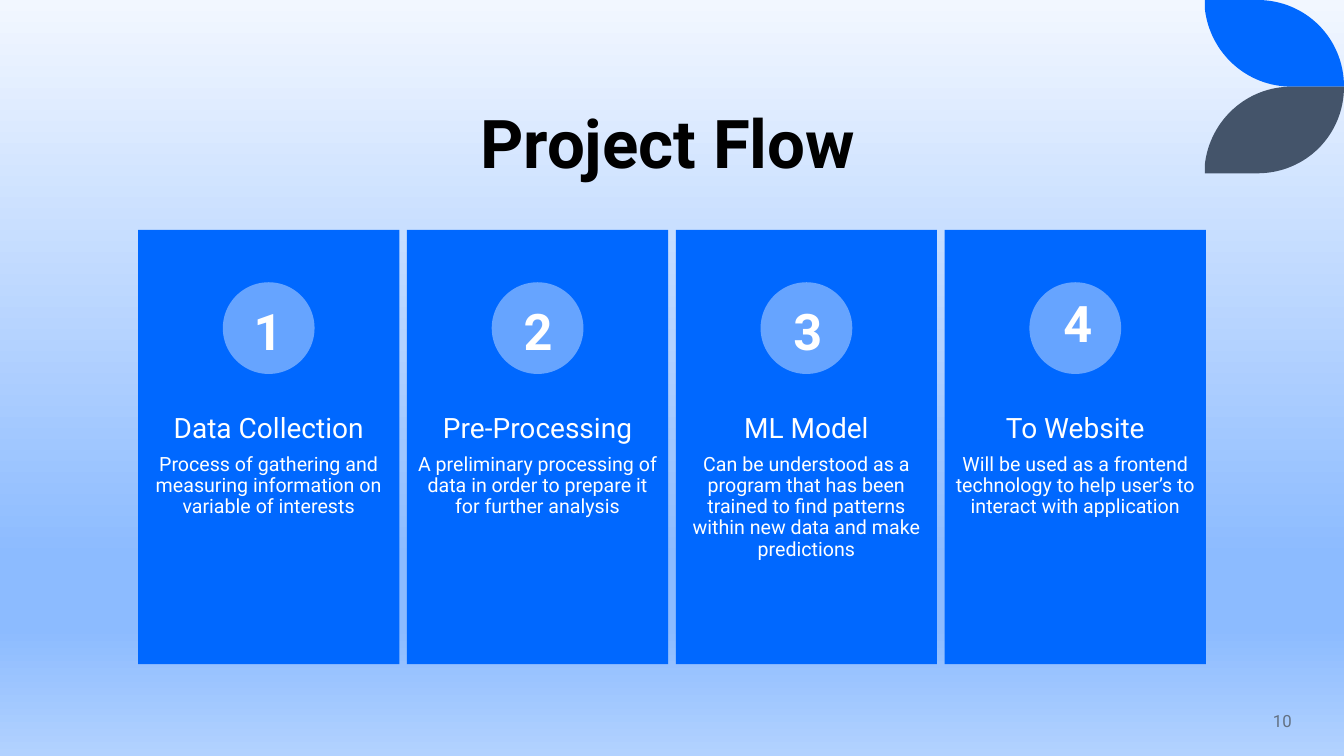
from copy import deepcopy

from lxml.etree import SubElement
from pptx import Presentation
from pptx.dml.color import RGBColor
from pptx.enum.shapes import MSO_SHAPE
from pptx.enum.text import MSO_ANCHOR, MSO_AUTO_SIZE, PP_ALIGN
from pptx.oxml.ns import qn
from pptx.util import Inches, Pt

FONT = "Roboto"
BLUE, LIGHT_BLUE, SLATE = "0068FF", "66A4FF", "44546A"
WHITE, BLACK, GREY = "FFFFFF", "000000", "637183"
SKY = [(0, "F2F7FF"), (0.74, "8CBBFF"), (0.83, "8CBBFF"), (1, "B2D2FF")]

SLIDE_WIDTH, SLIDE_HEIGHT = 13.33, 7.5
CARD_LEFT, CARD_TOP, CARD_PITCH = 1.37, 2.28, 8 / 3
CARD_WIDTH, CARD_HEIGHT = 2.59, 4.31
BADGE_TOP, BADGE_SIZE = 2.8, 0.91
NUMBER_LEFT, NUMBER_PITCH = 2.23, 8.03 / 3
NUMBER_WIDTH, NUMBER_HEIGHT = 0.86, 0.71
CAPTION_TOP, CAPTION_HEIGHT = 4, 1.72
LEAF_LEFT, LEAF_HEIGHT = 11.95, 0.86
LEAF_OUTLINE = [
    [(0.52, 0)],
    [(1, 0), (1.38, 0.38), (1.38, 0.86)],
    [(0.86, 0.86)],
    [(0.41, 0.86), (0.05, 0.52), (0, 0.09)],
]

STEPS = [
    ("Data Collection", "Process of gathering and measuring information on variable of interests", 2.93),
    ("Pre-Processing", "A preliminary processing of data in order to prepare it for further analysis", 2.93),
    ("ML Model", "Can be understood as a program that has been trained to find patterns "
                 "within new data and make predictions", 2.93),
    ("To Website", "Will be used as a frontend technology to help user’s to interact with application", 2.85),
]


def color(value):
    """Turn a hex string into a colour."""
    return RGBColor.from_string(value)


def paint(shape, fill):
    """Give a shape a plain fill without line or shadow."""
    shape.fill.solid()
    shape.fill.fore_color.rgb = color(fill)
    shape.line.fill.background()
    shape.shadow.inherit = False


def add_block(slide, preset, box, fill):
    """Add a filled preset shape."""
    paint(slide.shapes.add_shape(preset, *map(Inches, box)), fill)


def write(paragraph, text, size, ink, align=PP_ALIGN.CENTER, bold=False):
    """Add one formatted run to a paragraph."""
    paragraph.alignment = align
    run = paragraph.add_run()
    run.text = text
    run.font.name, run.font.size, run.font.bold = FONT, Pt(size), bold
    run.font.color.rgb = color(ink)


def add_text_frame(slide, box, anchor=MSO_ANCHOR.TOP):
    """Add a wrapping text box and return its frame."""
    frame = slide.shapes.add_textbox(*map(Inches, box)).text_frame
    frame.word_wrap = True
    frame.vertical_anchor = anchor
    return frame


def paint_sky(slide):
    """Fill the background with a vertical gradient."""
    fill = slide.background.fill
    fill.gradient()
    stop_list = slide.element.find(".//" + qn("a:gsLst"))
    for _ in SKY[2:]:
        stop_list.append(deepcopy(stop_list[0]))
    for stop, (position, tint) in zip(fill.gradient_stops, SKY):
        stop.position = position
        stop.color.rgb = color(tint)
    fill.gradient_angle = 270


def add_leaf(slide, edge, direction, fill):
    """Draw a leaf with two curved sides growing up or down from an edge."""
    points = [(Inches(LEAF_LEFT + x), Inches(edge + direction * y))
              for segment in LEAF_OUTLINE for x, y in segment]
    builder = slide.shapes.build_freeform(Inches(LEAF_LEFT), Inches(edge))
    builder.add_line_segments(points, close=True)
    leaf = builder.convert_to_shape()
    paint(leaf, fill)
    outline = leaf.element.find(".//" + qn("a:path"))
    lines = iter(outline.findall(qn("a:lnTo")))
    for segment in LEAF_OUTLINE:
        controls = [next(lines) for _ in segment]
        if len(controls) == 3:
            curve = SubElement(outline, qn("a:cubicBezTo"))
            controls[0].addprevious(curve)
            for control in controls:
                curve.append(control[0])
                outline.remove(control)


def add_title(slide, text):
    """Place and format the title placeholder."""
    title = slide.shapes.title
    title.left, title.top, title.width, title.height = map(Inches, (1.28, 0.42, 10.69, 1.45))
    frame = title.text_frame
    frame.auto_size = MSO_AUTO_SIZE.NONE
    frame.vertical_anchor = MSO_ANCHOR.BOTTOM
    heading = frame.paragraphs[0]
    heading.line_spacing = 0.9
    write(heading, text, 48, BLACK, bold=True)


def add_caption(slide, left, name, detail):
    """Write the name and description of a step."""
    frame = add_text_frame(slide, (left, CAPTION_TOP, CARD_WIDTH, CAPTION_HEIGHT))
    frame.margin_left = frame.margin_right = Inches(0.09)
    frame.margin_top = frame.margin_bottom = Inches(0.11)
    heading, description = frame.paragraphs[0], frame.add_paragraph()
    heading.line_spacing = description.line_spacing = 0.9
    heading.space_after = Pt(7)
    write(heading, name, 20, WHITE)
    write(description, detail, 14, WHITE)


def add_card(slide, index, name, detail):
    """Add one card of the flow with its badge."""
    left = CARD_LEFT + index * CARD_PITCH
    badge_left = left + (CARD_WIDTH - BADGE_SIZE) / 2
    add_block(slide, MSO_SHAPE.RECTANGLE, (left, CARD_TOP, CARD_WIDTH, CARD_HEIGHT), BLUE)
    add_caption(slide, left, name, detail)
    add_block(slide, MSO_SHAPE.OVAL, (badge_left, BADGE_TOP, BADGE_SIZE, BADGE_SIZE), LIGHT_BLUE)


def add_number(slide, index, top):
    """Write the number of a step over its badge."""
    left = NUMBER_LEFT + index * NUMBER_PITCH
    frame = add_text_frame(slide, (left, top, NUMBER_WIDTH, NUMBER_HEIGHT))
    write(frame.paragraphs[0], str(index + 1), 36, WHITE, bold=True)


def main():
    """Build the slide and save it."""
    deck = Presentation()
    deck.slide_width, deck.slide_height = Inches(SLIDE_WIDTH), Inches(SLIDE_HEIGHT)
    slide = deck.slides.add_slide(deck.slide_layouts[5])
    paint_sky(slide)
    add_leaf(slide, 0, 1, BLUE)
    add_leaf(slide, 2 * LEAF_HEIGHT, -1, SLATE)
    add_title(slide, "Project Flow")
    for index, (name, detail, _) in enumerate(STEPS):
        add_card(slide, index, name, detail)
    for index, (_, _, number_top) in enumerate(STEPS):
        add_number(slide, index, number_top)
    page = add_text_frame(slide, (11.1, 6.95, 1.81, 0.4), MSO_ANCHOR.MIDDLE)
    write(page.paragraphs[0], "10", 12, GREY, PP_ALIGN.RIGHT)
    deck.save("out.pptx")


if __name__ == "__main__":
    main()
